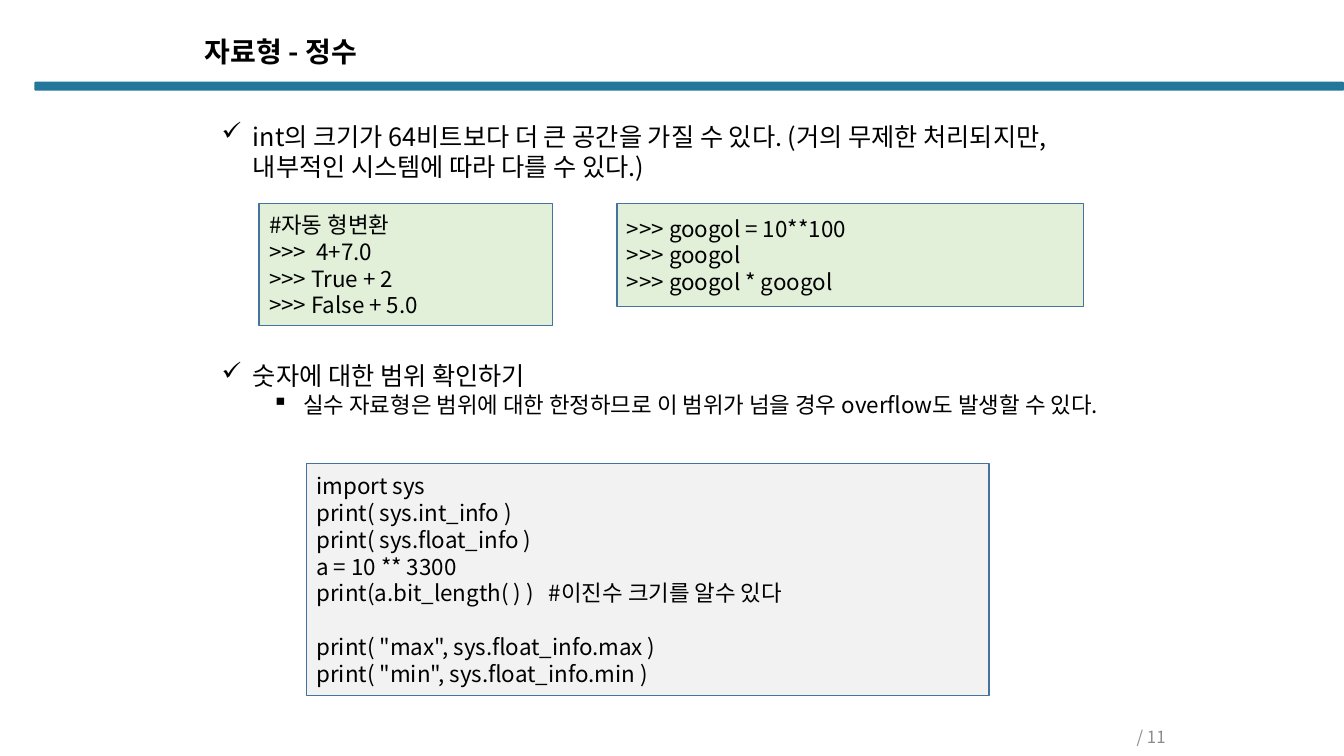
"""Build a Korean lecture slide on the integer data type."""
from pptx import Presentation
from pptx.dml.color import RGBColor
from pptx.enum.shapes import MSO_SHAPE
from pptx.enum.text import MSO_ANCHOR, PP_ALIGN
from pptx.oxml.ns import qn
from pptx.util import Inches, Pt
from lxml import etree

RECT, ROUND = MSO_SHAPE.RECTANGLE, MSO_SHAPE.ROUNDED_RECTANGLE
TOP, MIDDLE = MSO_ANCHOR.TOP, MSO_ANCHOR.MIDDLE
LEFT, RIGHT = PP_ALIGN.LEFT, PP_ALIGN.RIGHT
FONT = "Noto Sans CJK KR"
COLORS = {"bar": "22779B", "green": "E2F0D9", "gray": "F2F2F2",
          "edge": "43739E", "text": "000000", "page": "8C8C8C"}
WIDE, HIGH = 13.33, 7.5


def write(frame, text, size=16, color="text", bold=False, align=LEFT,
          anchor=TOP, bullet=None, level=0, before=0, spacing=None, more=False):
    """Write one formatted paragraph into a text frame."""
    frame.word_wrap = True
    frame.vertical_anchor = anchor
    para = frame.add_paragraph() if more else frame.paragraphs[0]
    para.alignment, para.level = align, level
    para.space_before = Pt(before)
    if spacing:
        para.line_spacing = spacing
    if bullet:
        props = para._p.get_or_add_pPr()
        props.set("marL", str(Inches(0.31 + 0.5 * level)))
        props.set("indent", str(Inches(-0.31)))
        etree.SubElement(props, qn("a:buChar")).set("char", bullet)
    run = para.add_run()
    run.text = text
    run.font.size, run.font.bold, run.font.name = Pt(size), bold, FONT
    run.font.color.rgb = RGBColor.from_string(COLORS[color])
    etree.SubElement(run._r.get_or_add_rPr(), qn("a:ea")).set("typeface", FONT)


def block(kind, spot, fill, edge=None):
    """Add a filled shape and return its text frame."""
    shape = slide.shapes.add_shape(kind, *map(Inches, spot))
    shape.shadow.inherit = False
    shape.fill.solid()
    shape.fill.fore_color.rgb = RGBColor.from_string(COLORS[fill])
    if edge:
        shape.line.color.rgb = RGBColor.from_string(COLORS[edge])
        shape.line.width = Pt(1)
    else:
        shape.line.fill.background()
    return shape.text_frame


deck = Presentation()
deck.slide_width, deck.slide_height = Inches(WIDE), Inches(HIGH)
slide = deck.slides.add_slide(deck.slide_layouts[5])

block(ROUND, (0.34, 0.81, WIDE - 0.34, 0.09), "bar")

title = slide.shapes.title
title.left, title.top, title.width, title.height = map(
    Inches, (1.93, 0.33, 5.93, 0.47))
write(title.text_frame, "자료형 - 정수", size=20, bold=True, spacing=0.9)

page = slide.shapes.add_textbox(*map(Inches, (9.33, 7.19, 2.33, 0.23)))
write(page.text_frame, "/ 11", size=12, color="page", align=RIGHT, anchor=MIDDLE)

POINTS = [
    ((2.1, 1.15, 9.13, 0.71),
     ["int의 크기가 64비트보다 더 큰 공간을 가질 수 있다. "
      "(거의 무제한 처리되지만, 내부적인 시스템에 따라 다를 수 있다.)"]),
    ((2.1, 3.53, 8.98, 0.94),
     ["숫자에 대한 범위 확인하기",
      "실수 자료형은 범위에 대한 한정하므로 이 범위가 넘을 경우 "
      "overflow도 발생할 수 있다."]),
]
for spot, lines in POINTS:
    frame = slide.shapes.add_textbox(*map(Inches, spot)).text_frame
    for level, line in enumerate(lines):
        write(frame, line, size=18 - 2 * level, bullet="✓▪"[level],
              level=level, more=level > 0)

CODES = [
    ((2.57, 2.02, 2.91, 1.21), "green",
     ["#자동 형변환", ">>>  4+7.0", ">>> True + 2", ">>> False + 5.0"]),
    ((6.12, 2.02, 4.63, 1.02), "green",
     [">>> googol = 10**100", ">>> googol", ">>> googol * googol"]),
    ((3.04, 4.6, 6.77, 2.3), "gray",
     ["import sys", "print( sys.int_info )", "print( sys.float_info )",
      "a = 10 ** 3300", "print(a.bit_length( ) )   #이진수 크기를 알수 있다",
      'print( "max", sys.float_info.max )',
      'print( "min", sys.float_info.min )']),
]
for spot, fill, lines in CODES:
    frame = block(RECT, spot, fill, "edge")
    for row, line in enumerate(lines):
        write(frame, line, anchor=MIDDLE, more=row > 0,
              before=19.2 if "max" in line else 0)

deck.save("out.pptx")
